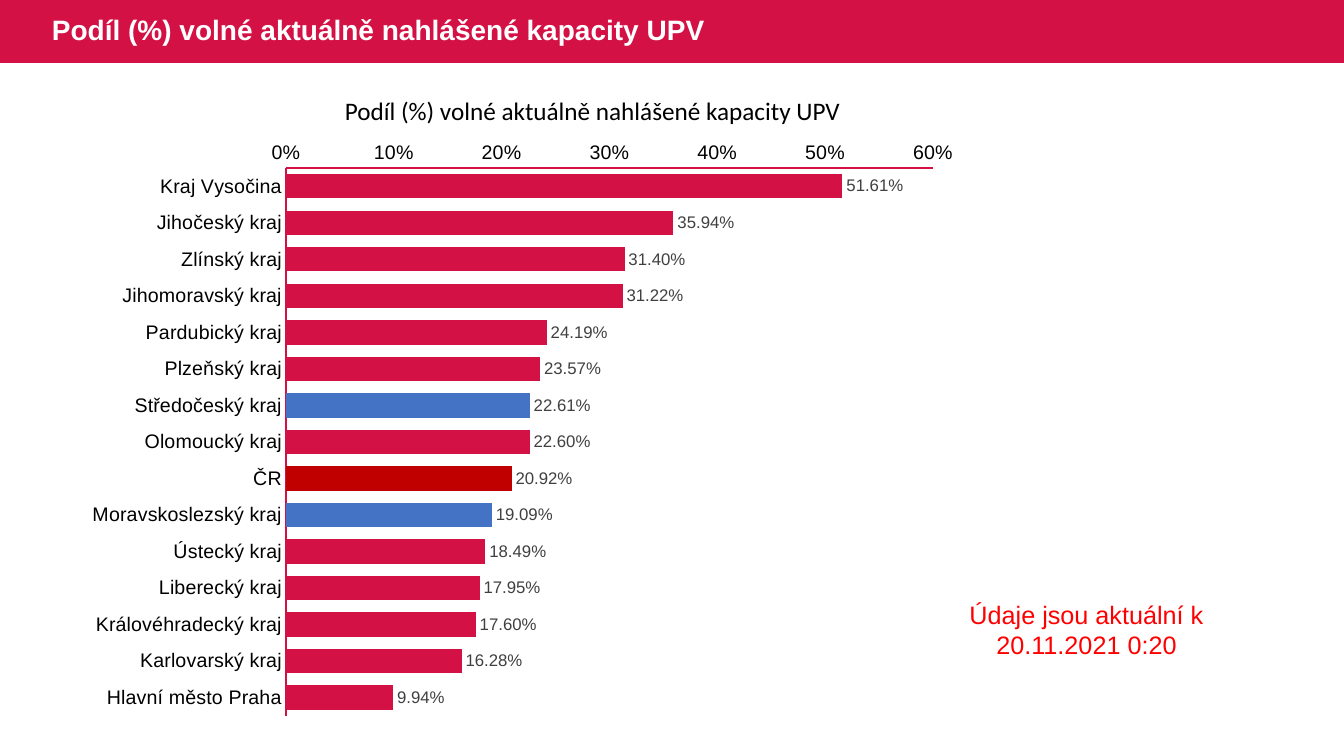
import pptx
import pptx.util
import pptx.oxml
import pptx.oxml.ns
import pptx.chart.data
import pptx.dml.color
import pptx.enum.chart
import pptx.enum.shapes
import pptx.enum.text

# Content
TITLE = "Podíl (%) volné aktuálně nahlášené kapacity UPV"
NOTE = "Údaje jsou aktuální k 20.11.2021 0:20"
REGIONS = [
    ("Kraj Vysočina", 0.5161),
    ("Jihočeský kraj", 0.3594),
    ("Zlínský kraj", 0.3140),
    ("Jihomoravský kraj", 0.3122),
    ("Pardubický kraj", 0.2419),
    ("Plzeňský kraj", 0.2357),
    ("Středočeský kraj", 0.2261),
    ("Olomoucký kraj", 0.2260),
    ("ČR", 0.2092),
    ("Moravskoslezský kraj", 0.1909),
    ("Ústecký kraj", 0.1849),
    ("Liberecký kraj", 0.1795),
    ("Královéhradecký kraj", 0.1760),
    ("Karlovarský kraj", 0.1628),
    ("Hlavní město Praha", 0.0994),
]
CRIMSON, BLUE, DARK_RED = "D31145", "4472C4", "C00000"
HIGHLIGHTS = {"Středočeský kraj": BLUE, "ČR": DARK_RED, "Moravskoslezský kraj": BLUE}

# Geometry in px: left, top, width, height
SLIDE_W, SLIDE_H = 1344, 756
HEADER = (0, 0, SLIDE_W, 63)
TITLE_BOX = (42, 0, 1165, 63)
CAPTION_BOX = (335, 90, 521, 40)
NOTE_BOX = (958, 594, 257, 72)
CHART = (75, 131, 896, 598)
PLOT = (286, 168, 647, 548)


def px(n):
    return pptx.util.Emu(round(n * 914400 / 100.8))


def color(hex_code):
    return pptx.dml.color.RGBColor.from_string(hex_code)


def set_font(font, size, hex_code, name="Arial", bold=False):
    font.size = pptx.util.Pt(size)
    font.color.rgb = color(hex_code)
    font.name = name
    font.bold = bold


def add_text(text, box, size, hex_code, name="Arial", bold=False, wrap=True,
             align="LEFT", anchor="TOP"):
    tf = s.shapes.add_textbox(*map(px, box)).text_frame
    tf.word_wrap = wrap
    tf.vertical_anchor = pptx.enum.text.MSO_ANCHOR[anchor]
    p = tf.paragraphs[0]
    p.alignment = pptx.enum.text.PP_ALIGN[align]
    r = p.add_run()
    r.text = text
    set_font(r.font, size, hex_code, name, bold)
    return p


prs = pptx.Presentation()
prs.slide_width, prs.slide_height = px(SLIDE_W), px(SLIDE_H)
s = prs.slides.add_slide(prs.slide_layouts[6])

# Header band and title
band = s.shapes.add_shape(pptx.enum.shapes.MSO_SHAPE.RECTANGLE, *map(px, HEADER))
band.shadow.inherit = False
band.fill.solid()
band.fill.fore_color.rgb = color(CRIMSON)
band.line.fill.background()
p = add_text(TITLE, TITLE_BOX, 20, "FFFFFF", bold=True, anchor="MIDDLE")
p.line_spacing = 0.9

# Bar chart
data = pptx.chart.data.CategoryChartData()
data.categories = [region for region, share in REGIONS]
data.add_series("Series 1", [share for region, share in REGIONS])
chart = s.shapes.add_chart(pptx.enum.chart.XL_CHART_TYPE.BAR_CLUSTERED,
                           *map(px, CHART), data).chart
chart.has_title = False
chart.has_legend = False
set_font(chart.font, 10, "000000")

for axis in (chart.category_axis, chart.value_axis):
    axis.has_major_gridlines = False
    axis.major_tick_mark = pptx.enum.chart.XL_TICK_MARK.NONE
    axis.minor_tick_mark = pptx.enum.chart.XL_TICK_MARK.NONE
    axis.format.line.color.rgb = color(CRIMSON)
    axis.format.line.width = pptx.util.Pt(0.75)
    set_font(axis.tick_labels.font, 14, "000000")
chart.category_axis.reverse_order = True
chart.value_axis.minimum_scale = 0
chart.value_axis.maximum_scale = 0.6
chart.value_axis.major_unit = 0.1
chart.value_axis.tick_labels.number_format = "0%"
chart.value_axis.tick_labels.number_format_is_linked = False

# Bars and value labels
plot = chart.plots[0]
plot.gap_width = 50
plot.vary_by_categories = False
bars = plot.series[0]
bars.format.fill.solid()
bars.format.fill.fore_color.rgb = color(CRIMSON)
for i, (region, share) in enumerate(REGIONS):
    if region in HIGHLIGHTS:
        fill = bars.points[i].format.fill
        fill.solid()
        fill.fore_color.rgb = color(HIGHLIGHTS[region])
labels = bars.data_labels
labels.show_value = True
labels.number_format = "0.00%"
labels.number_format_is_linked = False
labels.position = pptx.enum.chart.XL_LABEL_POSITION.OUTSIDE_END
set_font(labels.font, 12, "404040")

# Fixed inner plot area, as fractions of the chart frame
left, top, width, height = CHART
fractions = {
    "x": (PLOT[0] - left) / width,
    "y": (PLOT[1] - top) / height,
    "w": PLOT[2] / width,
    "h": PLOT[3] / height,
}
area = chart.plots[0]._element.getparent()
for old in area.findall(pptx.oxml.ns.qn("c:layout")):
    area.remove(old)
sizes = "".join(f'<c:{k} val="{v:.4f}"/>' for k, v in fractions.items())
area.insert(0, pptx.oxml.parse_xml(
    f'<c:layout {pptx.oxml.ns.nsdecls("c")}><c:manualLayout>'
    '<c:layoutTarget val="inner"/><c:xMode val="edge"/><c:yMode val="edge"/>'
    f'{sizes}</c:manualLayout></c:layout>'))

# Chart caption and date note
add_text(TITLE, CAPTION_BOX, 18, "000000", name="Calibri", wrap=False)
add_text(NOTE, NOTE_BOX, 18, "FF0000", align="CENTER")

prs.save("out.pptx")
